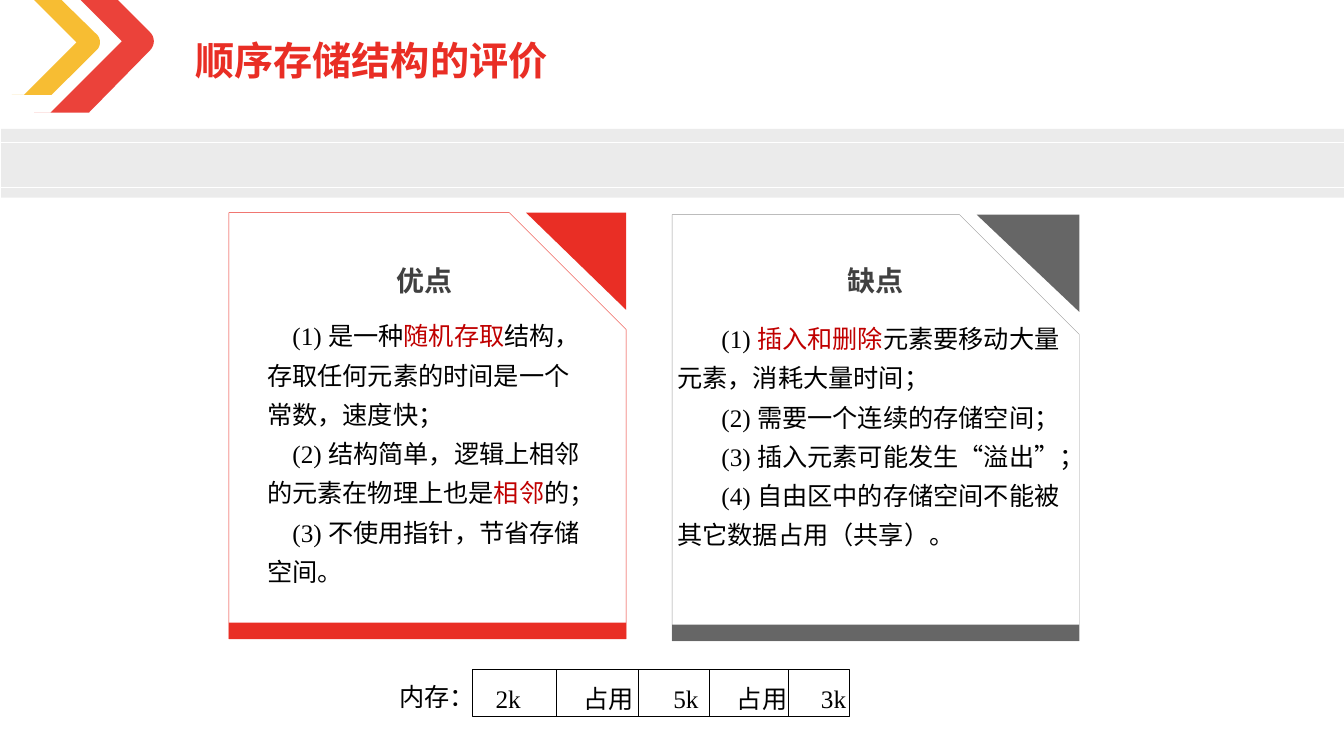
import pptx
import pptx.util
import pptx.dml.color
import pptx.enum.shapes
import pptx.enum.text
import pptx.oxml.ns
from lxml import etree

Cm, Pt = pptx.util.Cm, pptx.util.Pt
RGBColor = pptx.dml.color.RGBColor
Shapes = pptx.enum.shapes.MSO_SHAPE
Align = pptx.enum.text.PP_ALIGN
qn = pptx.oxml.ns.qn

RED = RGBColor(0xE9, 0x2E, 0x25)
YELLOW = RGBColor(0xF7, 0xB6, 0x1D)
DARK = RGBColor(0x40, 0x40, 0x40)
GRAY = RGBColor(0x66, 0x66, 0x66)
LIGHT = RGBColor(0x99, 0x99, 0x99)
ACCENT = RGBColor(0xC0, 0, 0)
BLACK = RGBColor(0, 0, 0)
WHITE = RGBColor(0xFF, 0xFF, 0xFF)
LATIN, HAN = "Times New Roman", "Noto Sans CJK SC"

TITLE = "顺序存储结构的评价"
CARDS = [
    dict(heading="优点", box=(5.77, 5.36, 10.01), color=RED, edge=RED,
         heading_left=9.8, body=(6.55, 7.75, 8.43, 7.09), indent=0.64,
         slots=(1, 2), lines=[
             [("(1) 是一种", BLACK), ("随机存取", ACCENT),
              ("结构，存取任何元素的时间是一个", BLACK)],
             [("常数，速度快；", BLACK)],
             [("(2) 结构简单，逻辑上相邻的元素在物理上也是", BLACK),
              ("相邻", ACCENT), ("的；", BLACK)],
             [("(3) 不使用指针，节省存储空间。", BLACK)]]),
    dict(heading="缺点", box=(16.94, 5.41, 10.26), color=GRAY, edge=LIGHT,
         heading_left=21.16, body=(16.89, 7.82, 10.13, 8.1), indent=1.11,
         slots=(3, 4), lines=[
             [("(1) ", BLACK), ("插入和删除", ACCENT),
              ("元素要移动大量元素，消耗大量时间；", BLACK)],
             [("(2) 需要一个连续的存储空间；", BLACK)],
             [("(3) 插入元素可能发生“溢出”；", BLACK)],
             [("(4) 自由区中的存储空间不能被其它数据占用（共享）。", BLACK)]]),
]
CARD_HEIGHT, STRIP, CORNER_HEIGHT, CORNER_RATIO = 10.74, 0.41, 2.45, 0.252
MEMORY_LABEL = ("内存：", 10.07, 2.2)
MEMORY_CELLS = [("2k", 12.49), ("占用", 14.71), ("5k", 16.97), ("占用", 18.57), ("3k", 20.69)]
MEMORY_CELL_WIDTH = 1.4
MEMORY_BOX = (11.91, 16.87, 9.5, 1.19)
MEMORY_DIVIDERS = [14.02, 16.1, 17.88, 19.86]
CHEVRONS = [
    (RED, [(0.86, 2.84), (2.24, 2.84), (3.78, 1.27)],
     [(3.91, 1.14), (3.91, 0.94), (3.78, 0.81)],
     [(2.97, 0), (2.03, 0), (3.07, 1.04), (1.27, 2.84)]),
    (YELLOW, [(0.3, 2.39), (1.3, 2.39), (2.46, 1.24)],
     [(2.54, 1.14), (2.54, 0.99), (2.46, 0.89)],
     [(1.55, 0), (0.86, 0), (1.93, 1.07), (0.61, 2.39)]),
]


def paint(shape, fill=None, line=None, width=0.25, opacity=None):
    shape.shadow.inherit = False
    if fill is None:
        shape.fill.background()
    else:
        shape.fill.solid()
        shape.fill.fore_color.rgb = fill
    if opacity:
        color = shape._element.spPr.find(".//" + qn("a:srgbClr"))
        etree.SubElement(color, qn("a:alpha"), val=str(opacity * 1000))
    if line is None:
        shape.line.fill.background()
    else:
        shape.line.color.rgb = line
        shape.line.width = Pt(width)


def add_block(page, kind, box, **style):
    shape = page.shapes.add_shape(kind, *map(Cm, box))
    paint(shape, **style)
    return shape


def add_outline(page, points, **style):
    corners = [(Cm(x), Cm(y)) for x, y in points]
    builder = page.shapes.build_freeform(*corners[0])
    builder.add_line_segments(corners[1:], close=True)
    paint(builder.convert_to_shape(), **style)


def add_line(page, start, end, color, width):
    line = page.shapes.add_connector(
        pptx.enum.shapes.MSO_CONNECTOR.STRAIGHT, *map(Cm, start + end))
    line.line.color.rgb = color
    line.line.width = Pt(width)
    etree.SubElement(line._element.spPr, qn("a:effectLst"))


def curve(start, first, second, end, steps=8):
    for step in range(1, steps + 1):
        t = step / steps
        weights = ((1 - t) ** 3, 3 * t * (1 - t) ** 2, 3 * t * t * (1 - t), t ** 3)
        yield tuple(sum(w * p[axis] for w, p in zip(weights, (start, first, second, end)))
                    for axis in (0, 1))


def style_span(span, size, color, latin=LATIN, bold=False):
    span.font.size = Pt(size)
    span.font.bold = bold
    span.font.color.rgb = color
    span.font.name = latin
    span.font._element.find(qn("a:latin")).addnext(
        etree.Element(qn("a:ea"), typeface=HAN))


def set_frame(box, place, inset=(0.25, 0.13), wrap=True):
    box.left, box.top, box.width, box.height = map(Cm, place)
    frame = box.text_frame
    frame.auto_size = pptx.enum.text.MSO_AUTO_SIZE.NONE
    frame.word_wrap = wrap
    frame.vertical_anchor = pptx.enum.text.MSO_ANCHOR.TOP
    frame.margin_left = frame.margin_right = Cm(inset[0])
    frame.margin_top = frame.margin_bottom = Cm(inset[1])
    return frame


def set_para(para, spans, size, align=Align.LEFT, spacing=1.0, indent=0, **font):
    properties = para._p.get_or_add_pPr()
    properties.set("marL", "0")
    properties.set("indent", str(Cm(indent)))
    etree.SubElement(properties, qn("a:buNone"))
    para.alignment = align
    para.line_spacing = spacing
    para.space_before = Pt(0)
    for text, color in spans:
        span = para.add_run()
        span.text = text
        style_span(span, size, color, **font)


def add_card(page, card):
    left, top, width = card["box"]
    right, bottom = left + width, top + CARD_HEIGHT
    body = add_block(page, Shapes.SNIP_1_RECTANGLE, (left, top, width, CARD_HEIGHT),
                     fill=WHITE, line=card["edge"])
    body.adjustments[0] = 0.294
    add_block(page, Shapes.RECTANGLE, (left, bottom - STRIP, width, STRIP), fill=card["color"])
    add_outline(page, [(right, top), (right - CORNER_RATIO * width, top),
                       (right, top + CORNER_HEIGHT)], fill=card["color"])
    heading, content = (page.placeholders[slot] for slot in card["slots"])
    for box in (heading, content):
        page.shapes._spTree.append(box._element)
    frame = set_frame(heading, (card["heading_left"], 6.53, 1.8, 1.04), (0.18, 0.1), wrap=False)
    set_para(frame.paragraphs[0], [(card["heading"], DARK)], 20, Align.CENTER,
             latin=HAN, bold=True)
    frame = set_frame(content, card["body"], (0.18, 0.1))
    for index, spans in enumerate(card["lines"]):
        para = frame.add_paragraph() if index else frame.paragraphs[0]
        indent = card["indent"] if spans[0][0].startswith("(") else 0
        set_para(para, spans, 18, spacing=1.3, indent=indent)


def add_memory(page):
    left, top, width, height = MEMORY_BOX
    add_block(page, Shapes.RECTANGLE, MEMORY_BOX, fill=WHITE, line=BLACK, width=0.75)
    label, label_left, label_width = MEMORY_LABEL
    texts = [(label, (label_left, top - 0.06, label_width, height))]
    texts += [(text, (x, top, MEMORY_CELL_WIDTH, height)) for text, x in MEMORY_CELLS]
    for text, place in texts:
        box = page.shapes.add_textbox(0, 0, 0, 0)
        frame = set_frame(box, place, (0, 0.13))
        set_para(frame.paragraphs[0], [(text, BLACK)], 18, spacing=1.3)
    for x in MEMORY_DIVIDERS:
        add_line(page, (x, top), (x, top + height), BLACK, 0.75)


def main():
    deck = pptx.Presentation()
    deck.slide_width, deck.slide_height = Cm(33.87), Cm(19.05)
    page = deck.slides.add_slide(deck.slide_layouts[4])
    add_block(page, Shapes.RECTANGLE, (0.03, 3.25, 33.84, 1.73), fill=DARK, opacity=10)
    for y in (3.58, 4.72):
        add_line(page, (0.03, y), (33.87, y), WHITE, 0.5)
    for color, before, bend, after in CHEVRONS:
        add_outline(page, before + list(curve(before[-1], *bend)) + after,
                    fill=color, opacity=90)
    for card in CARDS:
        add_card(page, card)
    add_memory(page)
    frame = set_frame(page.shapes.title, (4.67, 0.79, 12.7, 1.45))
    set_para(frame.paragraphs[0], [(TITLE, RED)], 28, bold=True)
    deck.save("out.pptx")


if __name__ == "__main__":
    main()
